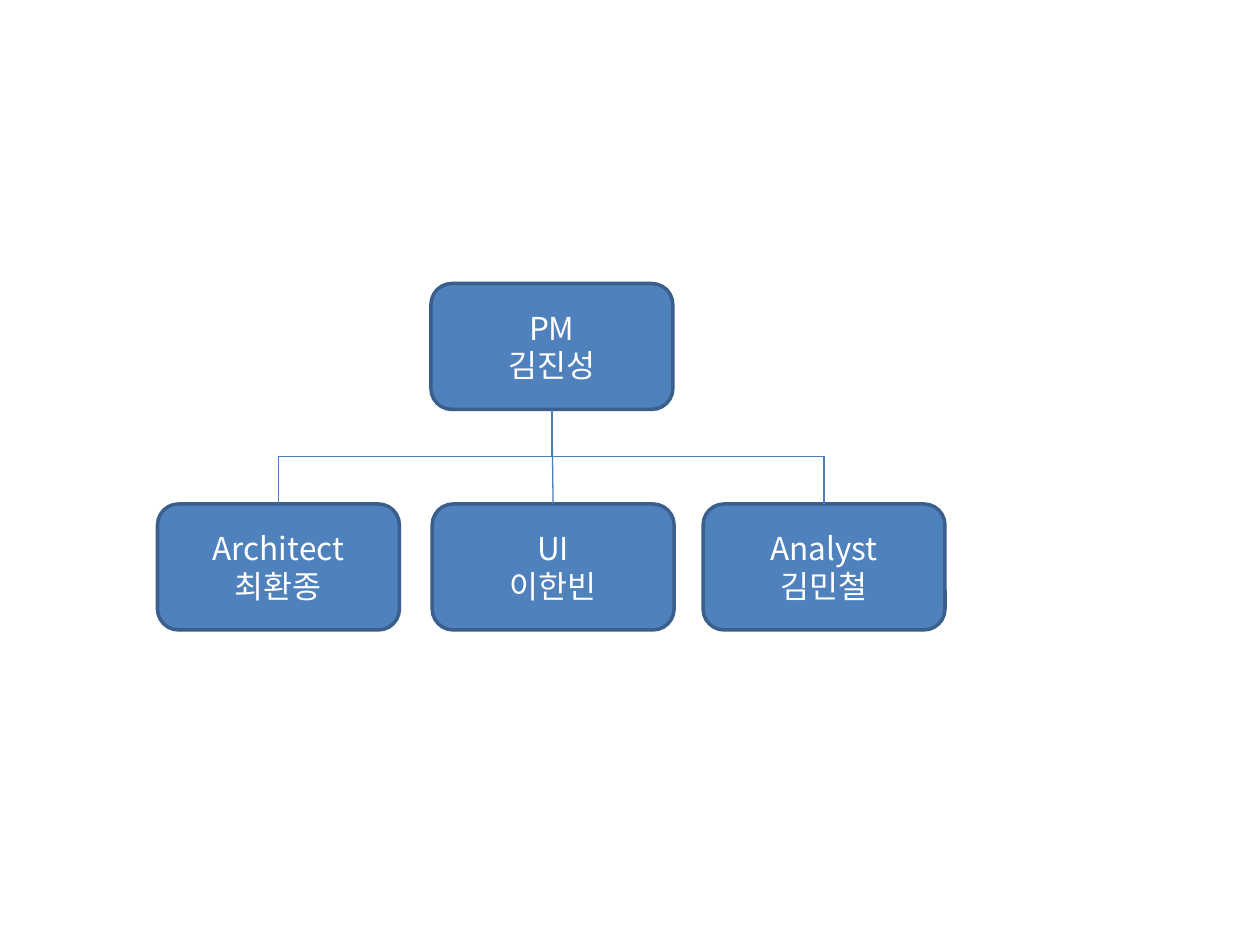
from dataclasses import dataclass

from pptx import Presentation
from pptx import util as u
from pptx.dml.color import RGBColor
from pptx.enum import shapes, text
from pptx.oxml.ns import qn
from lxml import etree

FONT = "Noto Sans CJK KR"
BOX_FILL, BOX_LINE, LINK_LINE, TEXT_COLOR = "4F81BD", "3A5F8C", "4B7EBC", "FFFFFF"
BOX_WIDTH, BOX_HEIGHT = 1.92, 1.0


@dataclass(frozen=True)
class Member:
    role: str
    name: str
    left: float
    top: float

    @property
    def center(self) -> float:
        return self.left + BOX_WIDTH / 2


MANAGER = Member("PM", "김진성", 3.42, 2.25)
TEAM = [
    Member("Architect", "최환종", 1.25, 4),
    Member("UI", "이한빈", 3.43, 4),
    Member("Analyst", "김민철", 5.58, 4),
]


def color(value: str) -> RGBColor:
    return RGBColor.from_string(value)


def draw_member(slide, member: Member) -> None:
    box = slide.shapes.add_shape(
        shapes.MSO_SHAPE.ROUNDED_RECTANGLE,
        u.Inches(member.left), u.Inches(member.top),
        u.Inches(BOX_WIDTH), u.Inches(BOX_HEIGHT),
    )
    box.shadow.inherit = False
    box.fill.solid()
    box.fill.fore_color.rgb = color(BOX_FILL)
    box.line.color.rgb = color(BOX_LINE)
    box.line.width = u.Pt(2)
    frame = box.text_frame
    frame.text = f"{member.role}\n{member.name}"
    frame.vertical_anchor = text.MSO_ANCHOR.MIDDLE
    for paragraph in frame.paragraphs:
        paragraph.alignment = text.PP_ALIGN.CENTER
        for run in paragraph.runs:
            run.font.name = FONT
            run.font.size = u.Pt(18)
            run.font.color.rgb = color(TEXT_COLOR)
            properties = run.font._element
            etree.SubElement(properties, qn("a:ea")).set("typeface", FONT)


def draw_link(slide, kind, start: tuple[float, float], end: tuple[float, float]):
    link = slide.shapes.add_connector(kind, *map(u.Inches, (*start, *end)))
    link.line.color.rgb = color(LINK_LINE)
    link.line.width = u.Pt(0.75)
    etree.SubElement(link._element.spPr, qn("a:effectLst"))
    return link


def draw_branch(slide, start: tuple[float, float], end: tuple[float, float]) -> None:
    middle_x, middle_y = (start[0] + end[0]) / 2, (start[1] + end[1]) / 2
    goes_left = end[0] < start[0]
    half_drop = (end[1] - start[1]) / 2 * (1 if goes_left else -1)
    half_span = abs(end[0] - start[0]) / 2
    branch = draw_link(
        slide, shapes.MSO_CONNECTOR.ELBOW,
        (middle_x - half_drop, middle_y - half_span),
        (middle_x + half_drop, middle_y + half_span),
    )
    degrees = 90 if goes_left else 270
    branch._element.spPr.find(qn("a:xfrm")).set("rot", str(degrees * 60000))


def main() -> None:
    deck = Presentation()
    deck.slide_width, deck.slide_height = u.Inches(10), u.Inches(7.5)
    slide = deck.slides.add_slide(deck.slide_layouts[6])
    for member in (MANAGER, *TEAM):
        draw_member(slide, member)
    start = (MANAGER.center, MANAGER.top + BOX_HEIGHT)
    architect, designer, analyst = TEAM
    for member in (architect, analyst):
        draw_branch(slide, start, (member.center, member.top))
    draw_link(slide, shapes.MSO_CONNECTOR.STRAIGHT, start, (designer.center, designer.top))
    deck.save("out.pptx")


if __name__ == "__main__":
    main()
